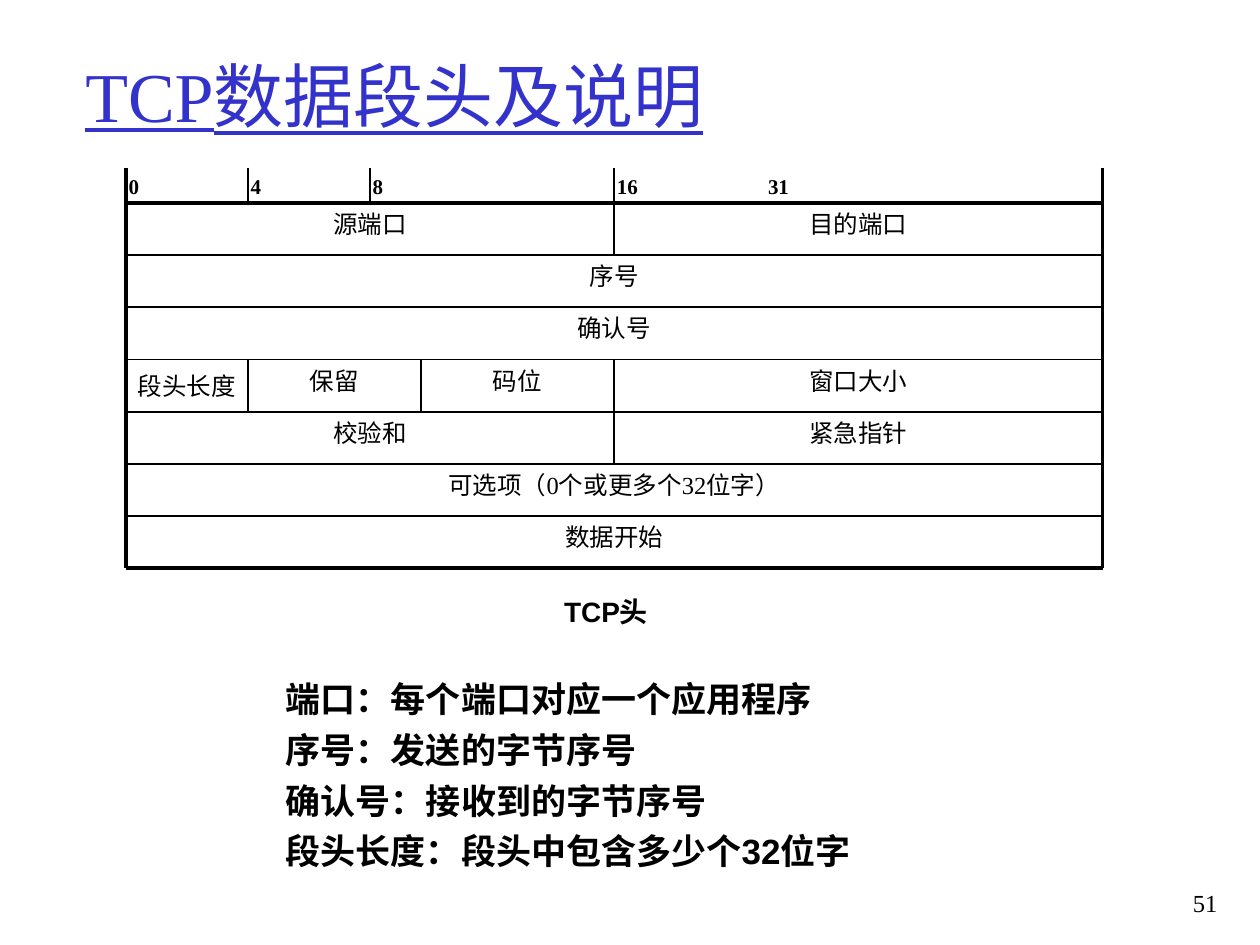
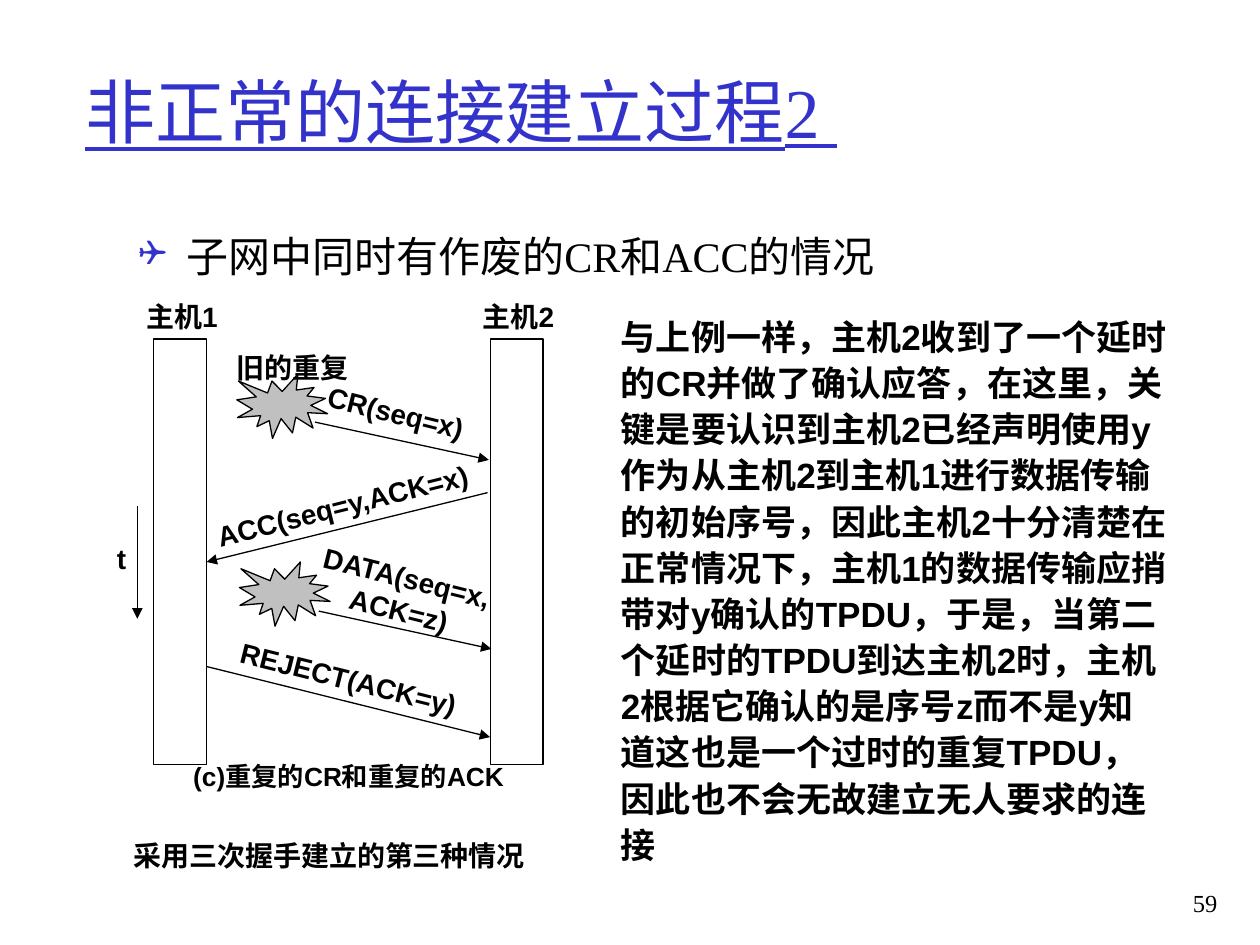
from lxml import etree
from pptx import Presentation
from pptx.dml.color import RGBColor
from pptx.enum.shapes import MSO_CONNECTOR, MSO_SHAPE
from pptx.enum.text import MSO_ANCHOR, PP_ALIGN
from pptx.oxml.ns import qn
from pptx.util import Inches, Pt

LEFT, MID, RIGHT = PP_ALIGN.LEFT, PP_ALIGN.CENTER, PP_ALIGN.RIGHT
JUST = PP_ALIGN.JUSTIFY
TOP, CENTER, BASE = MSO_ANCHOR.TOP, MSO_ANCHOR.MIDDLE, MSO_ANCHOR.BOTTOM
STRAIGHT = MSO_CONNECTOR.STRAIGHT
RECT, BURST = MSO_SHAPE.RECTANGLE, MSO_SHAPE.EXPLOSION1

SERIF, SANS = "Times New Roman", "Arial"
BLACK, BLUE, GRAY = "000000", "3333CC", "C0C0C0"
INSET = (0.1, 0.05)
TIGHT = (0.02, 0.05)


def color(code):
    return RGBColor.from_string(code)


def add(parent, tag, **attrs):
    return etree.SubElement(parent, qn(tag), attrs)


class Deck:
    """Holds the shared style and the current slide."""

    def __init__(self):
        self.prs = Presentation()
        self.prs.slide_width = Inches(10)
        self.prs.slide_height = Inches(7.5)

    def page(self, title, high, number):
        self.slide = self.prs.slides.add_slide(self.prs.slide_layouts[6])
        self.text(title, 0.58, 0.25, 8.5, high, 40, SERIF, tint=BLUE,
                  line=True, anchor=CENTER)
        self.text(number, 9.08, 7, 0.68, 0.5, 14, SERIF, align=RIGHT)

    def text(self, lines, x, y, w, h, size=16, face=SANS, bold=False,
             tint=BLACK, line=False, align=LEFT, anchor=TOP, inset=INSET,
             gap=0, pitch=None, turn=0, bullet=None, tab=None):
        box = self.slide.shapes.add_textbox(
            Inches(x), Inches(y), Inches(w), Inches(h))
        box.rotation = turn
        frame = box.text_frame
        frame.word_wrap = True
        frame.vertical_anchor = anchor
        frame.margin_left = frame.margin_right = Inches(inset[0])
        frame.margin_top = frame.margin_bottom = Inches(inset[1])
        frame.text = lines
        for i, para in enumerate(frame.paragraphs):
            para.alignment = align
            props = para._p.get_or_add_pPr()
            props.set("hangingPunct", "0")
            if i:
                para.space_before = Pt(gap)
            if pitch:
                para.line_spacing = pitch
            if bullet:
                self.bullet(props, bullet)
            if tab:
                tabs = add(props, "a:tabLst")
                add(tabs, "a:tab", pos=str(Inches(tab)), algn="l")
            font = para.font
            font.name, font.size, font.bold = face, Pt(size), bold
            font.underline = line
            font.color.rgb = color(tint)

    def bullet(self, props, mark):
        props.set("marL", str(Inches(0.38)))
        props.set("indent", str(-Inches(0.38)))
        add(add(props, "a:buClr"), "a:srgbClr", val=BLUE)
        add(props, "a:buSzPct", val="85000")
        add(props, "a:buFont", typeface="Wingdings", charset="2")
        add(props, "a:buChar", char=mark)

    def line(self, x1, y1, x2, y2, width=0.75, arrow=False):
        link = self.slide.shapes.add_connector(
            STRAIGHT, Inches(x1), Inches(y1), Inches(x2), Inches(y2))
        link.line.color.rgb = color(BLACK)
        link.line.width = Pt(width)
        if arrow:
            add(link.line._get_or_add_ln(), "a:tailEnd", type="triangle")
        add(link._element.spPr, "a:effectLst")

    def shape(self, kind, x, y, w, h, fill=None):
        form = self.slide.shapes.add_shape(
            kind, Inches(x), Inches(y), Inches(w), Inches(h))
        form.shadow.inherit = False
        if fill:
            form.fill.solid()
            form.fill.fore_color.rgb = color(fill)
        else:
            form.fill.background()
        form.line.color.rgb = color(BLACK)
        form.line.width = Pt(0.75)


def header(deck):
    deck.page("TCP数据段头及说明", 1, "51")

    # Grid: 32 bits across, seven equal rows
    left, right, ruler, top, row = 1, 8.75, 1.33, 1.61, 2.9 / 7

    def bit(n):
        return left + (right - left) * n / 32

    def level(n):
        return top + row * n

    # Fields as (first bit, name)
    rows = [
        [(0, "源端口"), (16, "目的端口")],
        [(0, "序号")],
        [(0, "确认号")],
        [(0, "段头长度"), (4, "保留"), (9.66, "码位"), (16, "窗口大小")],
        [(0, "校验和"), (16, "紧急指针")],
        [(0, "可选项（0个或更多个32位字）")],
        [(0, "数据开始")],
    ]
    for i, fields in enumerate(rows):
        ends = [start for start, _ in fields[1:]] + [32]
        for (start, name), end in zip(fields, ends):
            slim = end == 4
            deck.text(name, bit(start), level(i), bit(end) - bit(start), row,
                      14, SERIF, align=MID, anchor=CENTER if slim else TOP,
                      inset=(0, 0) if slim else INSET)
            if start:
                deck.line(bit(start), level(i), bit(start), level(i + 1), 1)

    # Bit ruler
    marks = [(0, 4, "0"), (4, 8, "4"), (8, 16, "8"), (16, 32, "16\t31")]
    for start, end, label in marks:
        deck.text(label, bit(start), ruler, bit(end) - bit(start), 0.27,
                  12, SERIF, True, anchor=BASE, inset=(0.02, 0.02), tab=1.2)
        if start:
            deck.line(bit(start), ruler, bit(start), top, 1)

    # Rules and frame
    for i in range(8):
        deck.line(left, level(i), right, level(i), 2.25 if i in (0, 7) else 1)
    for x in (left, right):
        deck.line(x, ruler, x, top, 2.25)
        deck.line(x, top, x, level(7), 2.25)

    # Caption and notes on the fields
    deck.text("TCP头 ", 3.25, 4.67, 3.17, 0.37, bold=True, align=MID)
    deck.text("端口：每个端口对应一个应用程序\n"
              "序号：发送的字节序号\n"
              "确认号：接收到的字节序号\n"
              "段头长度：段头中包含多少个32位字",
              2.17, 5.33, 4.86, 1.64, 20, bold=True, gap=5)


def setup(deck):
    deck.page("非正常的连接建立过程2 ", 1.25, "59")
    deck.text("子网中同时有作废的CR和ACC的情况", 1, 1.78, 8.25, 0.63, 24,
              SERIF, bullet="❑")
    deck.text("与上例一样，主机2收到了一个延时的CR并做了确认应答，在这里，"
              "关键是要认识到主机2已经声明使用y作为从主机2到主机1进行数据传输的"
              "初始序号，因此主机2十分清楚在正常情况下，主机1的数据传输应捎带对y"
              "确认的TPDU，于是，当第二个延时的TPDU到达主机2时，主机2根据它确认"
              "的是序号z而不是y知道这也是一个过时的重复TPDU，因此也不会无故建立"
              "无人要求的连接",
              4.83, 2.42, 4.54, 4.5, 20, bold=True, pitch=1.1)
    deck.text("采用三次握手建立的第三种情况 ", 0.75, 6.61, 3.78, 0.67,
              bold=True, align=MID)

    # Hosts
    for name, x in (("主机1", 1.22), ("主机2", 3.89)):
        deck.shape(RECT, x, 2.69, 0.42, 3.38)
        deck.text(name, x - 0.18, 2.33, 0.81, 0.38, bold=True, align=MID)

    # Time axis
    deck.text("t", 0.83, 4.25, 0.32, 0.38, bold=True, align=JUST)
    deck.line(1.09, 4.02, 1.09, 4.91, arrow=True)

    # Messages
    for ends in ((2.5, 3.35, 3.88, 3.65), (3.87, 3.91, 1.64, 4.46),
                 (2.53, 4.85, 3.9, 5.15), (1.64, 5.29, 3.89, 5.85)):
        deck.line(*ends, arrow=True)
    for x, y in ((1.88, 2.97), (1.9, 4.46)):
        deck.shape(BURST, x, y, 0.72, 0.51, GRAY)
    for label, x, y, w in (("CR(seq=x)", 2.41, 3.09, 1.46),
                           ("DATA(seq=x,ACK=z)", 2.43, 4.4, 1.6),
                           ("REJECT(ACK=y) ", 1.56, 5.21, 2.47)):
        deck.text(label, x, y, w, 0.38, bold=True, align=MID, turn=14)
    deck.text("ACC(seq=y,ACK=x) ", 1.63, 3.82, 2.24, 0.39, bold=True,
              align=MID, anchor=CENTER, inset=TIGHT, pitch=0.96, turn=-14)
    deck.text("旧的重复", 1.78, 2.73, 1.25, 0.37, bold=True)
    deck.text("(c)重复的CR和重复的ACK ", 1.47, 5.94, 2.65, 0.44, 15,
              bold=True, align=MID, anchor=CENTER, inset=TIGHT)


def main():
    deck = Deck()
    header(deck)
    setup(deck)
    deck.prs.save("out.pptx")


if __name__ == "__main__":
    main()
